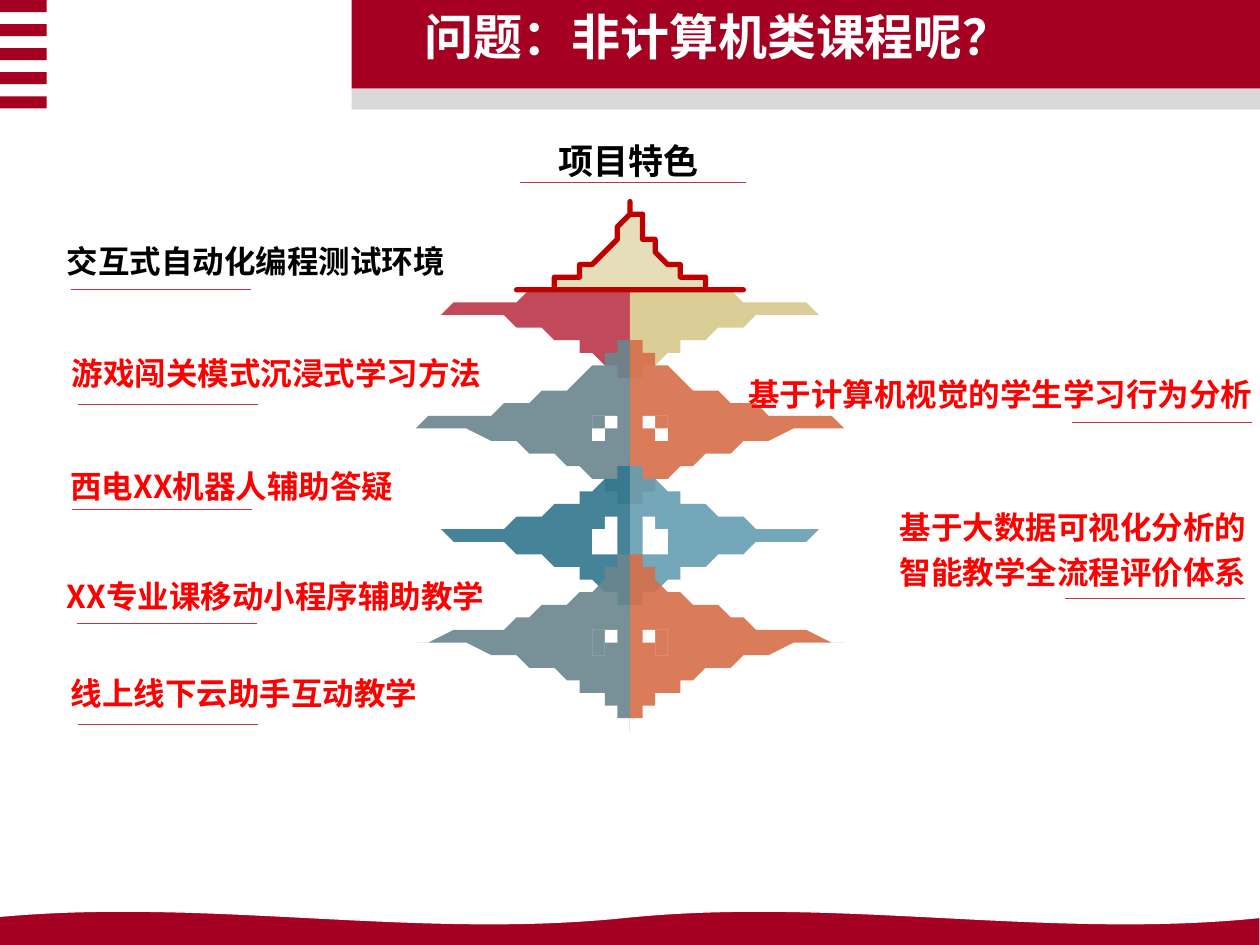
from lxml.etree import SubElement
from pptx import Presentation
from pptx.dml.color import RGBColor
from pptx.enum.shapes import MSO_CONNECTOR, MSO_SHAPE
from pptx.enum.text import MSO_ANCHOR, MSO_AUTO_SIZE, PP_ALIGN as AL
from pptx.oxml.ns import qn
from pptx.util import Inches, Pt

FONT = "Noto Sans CJK SC"
COLOR = {
    "brand": "A50021", "band": "D9D9D9", "white": "FFFFFF", "black": "000000",
    "red": "FF0000", "rule": "BC3649", "rose": "BC3649", "sand": "D6C88B",
    "slate": "6A868F", "coral": "D66E49", "teal": "31778D", "sky": "649EB2",
    "crown": "E6DEB9", "outline": "C00000",
}
# The slide is a grid of 100 columns by 75 rows.
W, H = Inches(10), Inches(7.5)
COL, ROW = W / 100, H / 75
CENTRE = 50  # mirror axis of the tree, in columns

# Height of the leaf's middle, half height, length, left and right colour, icon
LEAVES = [
    (24.6, 6.1, 15.1, "rose", "sand", None),
    (33.6, 6.9, 17, "slate", "coral", "plug"),
    (42.5, 6.1, 15.1, "teal", "sky", "bars"),
    (50.8, 6.9, 17, "slate", "coral", "plug"),
]
# Inner edge, outer edge (columns from the axis) and half height
BARS = [(1.2, 1.6, 1.15), (1.8, 2.1, 0.7), (2.2, 2.6, 1), (2.7, 3, 0.5)]

# Lines, box, alignment, colour, size, left end / length / height of the rule
LABELS = [
    (["项目特色"], (25.3, 10.4, 49.2, 3.7), AL.CENTER, "black", 20, (41.3, 17.9, 14.5)),
    (["交互式自动化编程测试环境"], (5.3, 18.6, 41.9, 3.3), AL.JUSTIFY, "black", 18,
     (5.6, 14.3, 23)),
    (["游戏闯关模式沉浸式学习方法"], (5.7, 27.5, 41.9, 3.3), AL.JUSTIFY, "red", 18,
     (6.2, 14.3, 32.1)),
    (["西电XX机器人辅助答疑"], (5.6, 36.5, 39.6, 3.6), AL.LEFT, "red", 18,
     (5.7, 14.3, 40.4)),
    (["XX专业课移动小程序辅助教学"], (5.3, 45.2, 39.6, 3.3), AL.LEFT, "red", 18,
     (6.1, 14.3, 49.5)),
    (["线上线下云助手互动教学"], (5.6, 52.9, 41.9, 3.3), AL.JUSTIFY, "red", 18,
     (6.2, 14.3, 57.5)),
    (["基于计算机视觉的学生学习行为分析"], (53, 29.2, 46.4, 3.3), AL.RIGHT, "red", 18,
     (85.1, 14.3, 33.5)),
    (["基于大数据可视化分析的", "智能教学全流程评价体系"], (48.6, 39.7, 50.3, 7.3),
     AL.RIGHT, "red", 18, (84.5, 14.3, 47.5)),
]


def rgb(name):
    return RGBColor.from_string(COLOR[name])


def grid(x, y, w, h):
    return round(x * COL), round(y * ROW), round(w * COL), round(h * ROW)


def paint(sp, fill, line=None, width=0, alpha=None):
    sp.shadow.inherit = False
    sp.fill.solid()
    sp.fill.fore_color.rgb = rgb(fill)
    if alpha:
        clr = sp._element.spPr.find(qn("a:solidFill"))[0]
        SubElement(clr, qn("a:alpha"), val=str(alpha * 1000))
    if line:
        sp.line.color.rgb = rgb(line)
        sp.line.width = Pt(width)
    else:
        sp.line.fill.background()


def preset(s, kind, box, fill, **style):
    sp = s.shapes.add_shape(kind, *grid(*box))
    paint(sp, fill, **style)


def outline(s, contours, fill, **style):
    """Draw one freeform from closed contours given in columns and rows."""
    fb = None
    for start, *rest in contours:
        if fb is None:
            fb = s.shapes.build_freeform(*start, scale=(COL, ROW))
        else:
            fb.move_to(*start)
        fb.add_line_segments(rest, close=True)
    paint(fb.convert_to_shape(), fill, **style)


def curve(p0, p1, p2, p3, steps=24):
    """Points along a cubic Bézier."""
    ts = [i / steps for i in range(steps + 1)]
    return [tuple((1 - t) ** 3 * a + 3 * t * (1 - t) ** 2 * b
                  + 3 * t * t * (1 - t) * c + t ** 3 * d
                  for a, b, c, d in zip(p0, p1, p2, p3)) for t in ts]


def rect(side, x1, x2, y, half):
    """Corners of a bar on one side of the axis."""
    a, b = CENTRE + side * x1, CENTRE + side * x2
    return [(a, y - half), (b, y - half), (b, y + half), (a, y + half)]


def write(p, text, color, size):
    r = p.add_run()
    r.text = text
    for key, value in {"name": FONT, "size": Pt(size), "bold": True}.items():
        setattr(r.font, key, value)
    r.font.color.rgb = rgb(color)
    SubElement(r._r.get_or_add_rPr(), qn("a:ea"), typeface=FONT)


def header(s, x, y, w, h):
    preset(s, MSO_SHAPE.RECTANGLE, (x, y, w, h * 0.81), "brand")
    preset(s, MSO_SHAPE.RECTANGLE, (x, y + h * 0.81, w, h * 0.19), "band")
    title = s.shapes.title
    s.shapes._spTree.append(title._element)  # in front of the bars
    title.left, title.top, title.width, title.height = grid(x + 4.8, y + 0.5, 68.3, 5.3)
    tf = title.text_frame
    tf.vertical_anchor = MSO_ANCHOR.MIDDLE
    p = tf.paragraphs[0]
    p.alignment, p.line_spacing = AL.LEFT, 0.9
    write(p, "问题：非计算机类课程呢？", "white", 28)


def stripes(s, x, y, w, h, count=5):
    thick = h / (2 * count - 1)
    for i in range(count):
        preset(s, MSO_SHAPE.RECTANGLE, (x, y + 2 * i * thick, w, thick), "brand")


def leaf(s, side, y, half, length, fill):
    x = CENTRE + side * 0.3
    tip, bend = (x + side * length, y), x + side * length * 0.18
    upper = curve((x, y - half), (x, y - half), (bend, y - half / 6), tip)
    lower = [(px, 2 * y - py) for px, py in upper[-2::-1]]
    outline(s, [upper + lower], fill, alpha=90)


def icon(s, side, y, kind):
    if kind == "bars":
        parts = [rect(side, a, b, y, half) for a, b, half in BARS]
    else:
        parts = [rect(side, 1.5, 2.9, y, 0.95), rect(side, 1.2, 1.5, y, 0.3),
                 rect(side, 1.9, 2.8, y, 0.85)]
    outline(s, parts, "white")


def crown(s, x, y, w, h):
    mid, base = x + w / 2, y + h
    left = curve((x, base), (x, base), (mid - w * 0.08, y + h * 0.82), (mid, y))
    right = [(2 * mid - px, py) for px, py in left[-2::-1]]
    outline(s, [left + right], "crown", line="outline", width=3)


def tree(s):
    for y, half, length, left, right, kind in LEAVES:
        for side, fill in ((-1, left), (1, right)):
            leaf(s, side, y, half, length, fill)
    for y, *_, kind in LEAVES:
        if kind:
            for side in (-1, 1):
                icon(s, side, y, kind)
    crown(s, 41.3, 16, 17.5, 7.4)


def label(s, lines, box, align, color, size, rule):
    tf = s.shapes.add_textbox(*grid(*box)).text_frame
    fmt = {"word_wrap": True, "auto_size": MSO_AUTO_SIZE.SHAPE_TO_FIT_TEXT,
           "margin_left": 0, "margin_top": 0, "margin_right": 0, "margin_bottom": 0}
    for key, value in fmt.items():
        setattr(tf, key, value)
    for i, text in enumerate(lines):
        p = tf.add_paragraph() if i else tf.paragraphs[0]
        p.alignment, p.line_spacing = align, 1.2
        write(p, text, color, size)
    x, length, y = rule
    x1, y1, dx, _ = grid(x, y, length, 0)
    ln = s.shapes.add_connector(MSO_CONNECTOR.STRAIGHT, x1, y1, x1 + dx, y1)
    ln.line.color.rgb = rgb("rule")
    ln.line.width = Pt(0.5)
    SubElement(ln._element.spPr, qn("a:effectLst"))


def main():
    prs = Presentation()
    prs.slide_width, prs.slide_height = W, H
    s = prs.slides.add_slide(prs.slide_layouts[5])
    header(s, 27.9, 0, 72.1, 8.7)
    stripes(s, 0, 0, 3.7, 8.6)
    preset(s, MSO_SHAPE.DOUBLE_WAVE, (-0.9, 72.3, 100.9, 8.3), "brand",
           line="white", width=0.75)
    tree(s)
    for item in LABELS:
        label(s, *item)
    prs.save("out.pptx")


if __name__ == "__main__":
    main()
